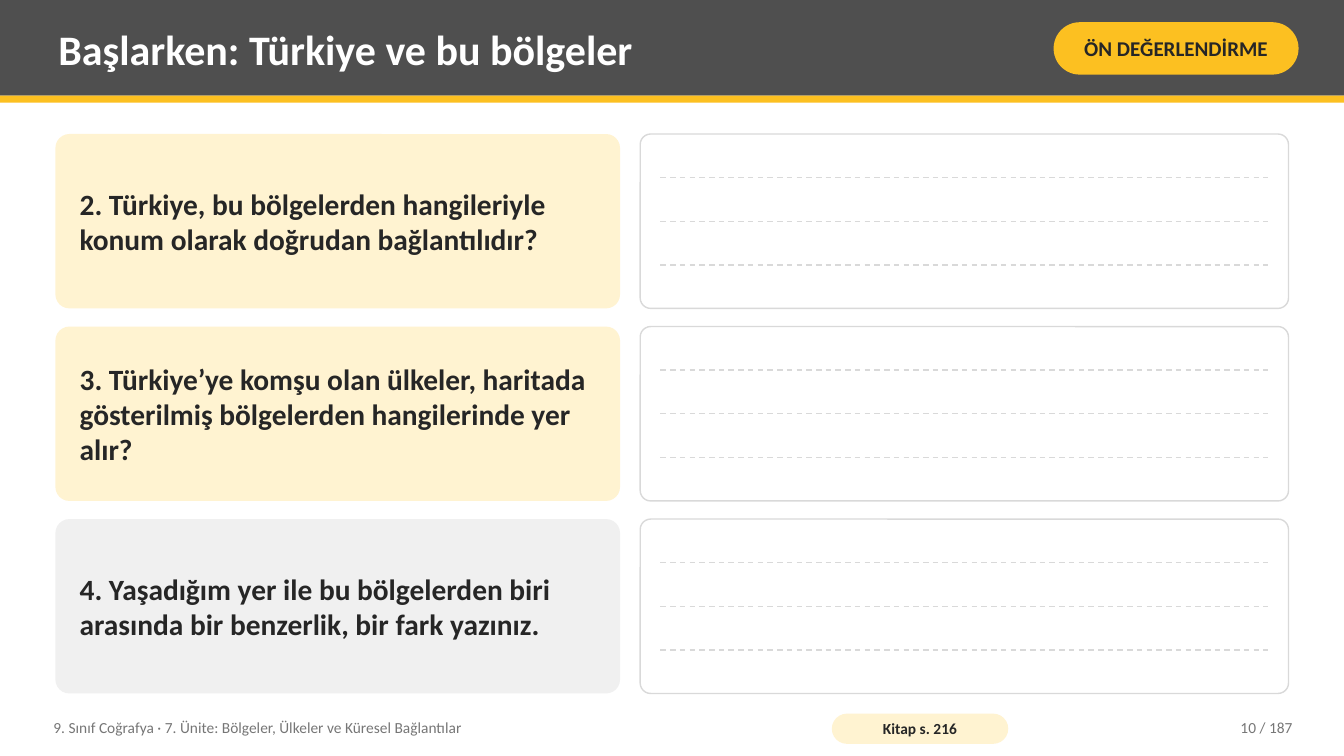
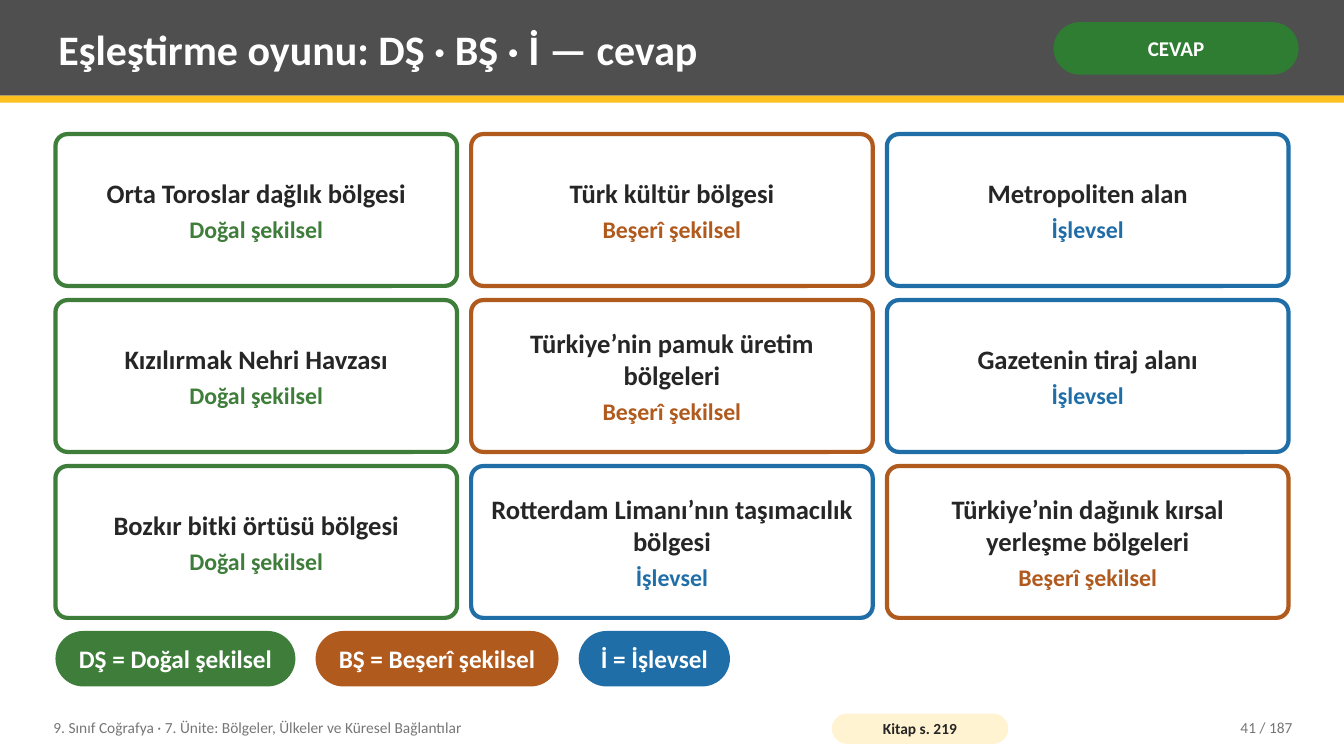
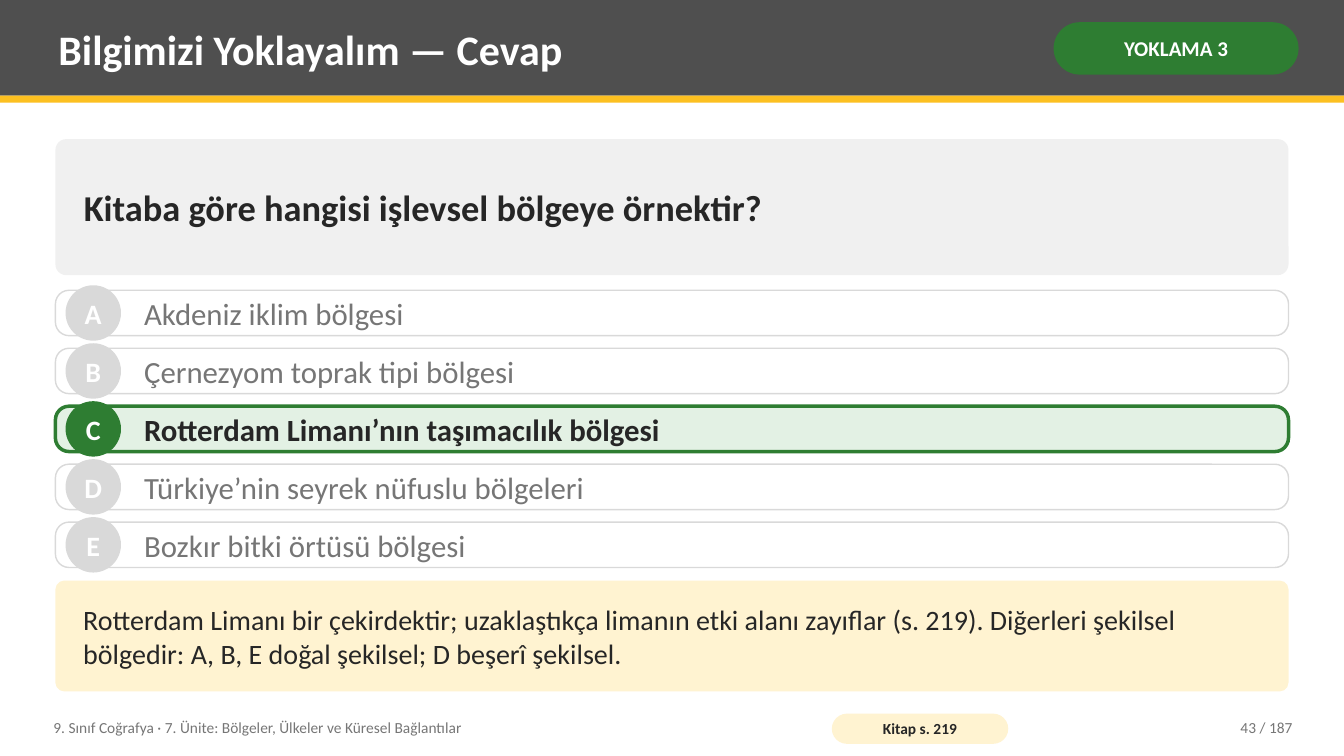
"""Build three geography lesson slides: open questions, a matching key and a quiz answer."""
import itertools

import pptx
import pptx.dml.color
import pptx.enum.dml
import pptx.enum.shapes
import pptx.enum.text
import pptx.oxml
import pptx.util

Inches = pptx.util.Inches
Pt = pptx.util.Pt
RGBColor = pptx.dml.color.RGBColor
SHAPE = pptx.enum.shapes.MSO_SHAPE
ALIGN = pptx.enum.text.PP_ALIGN

FONT = "Calibri"
WHITE = RGBColor(0xFF, 0xFF, 0xFF)
INK = RGBColor(0x26, 0x26, 0x26)
CHARCOAL = RGBColor(0x4F, 0x4F, 0x4F)
MUTED = RGBColor(0x76, 0x76, 0x76)
RULE = RGBColor(0xD9, 0xD9, 0xD9)
PALE_GREY = RGBColor(0xF0, 0xF0, 0xF0)
AMBER = RGBColor(0xFC, 0xC0, 0x21)
CREAM = RGBColor(0xFF, 0xF3, 0xD1)
ANSWER = RGBColor(0x2E, 0x7D, 0x32)
PALE_ANSWER = RGBColor(0xE3, 0xF1, 0xE4)
NATURAL = RGBColor(0x3E, 0x7D, 0x3A)
HUMAN = RGBColor(0xB0, 0x5A, 0x1E)
FUNCTIONAL = RGBColor(0x1F, 0x6E, 0xA8)

SLIDE_WIDTH, SLIDE_HEIGHT = 13.33, 7.5
LEFT, TOP, CONTENT_WIDTH = 0.55, 1.33, 12.23
TEXT_INSET = (0.08, 0.04)
UNIT = "9. Sınıf Coğrafya · 7. Ünite: Bölgeler, Ülkeler ve Küresel Bağlantılar"
PAGE_COUNT = 187
REGION_KINDS = {
    "DŞ": ("Doğal şekilsel", NATURAL, 2.38),
    "BŞ": ("Beşerî şekilsel", HUMAN, 2.41),
    "İ": ("İşlevsel", FUNCTIONAL, 1.5),
}


def write(shape, lines, inset=TEXT_INSET, align=ALIGN.LEFT, space_after=0, wrap=True):
    """Fill a shape with lines given as (words, size, colour, bold)."""
    frame = shape.text_frame
    frame.word_wrap = wrap
    frame.vertical_anchor = pptx.enum.text.MSO_ANCHOR.MIDDLE
    frame.margin_left = frame.margin_right = Inches(inset[0])
    frame.margin_top = frame.margin_bottom = Inches(inset[1])
    for index, (words, size, colour, bold) in enumerate(lines):
        paragraph = frame.add_paragraph() if index else frame.paragraphs[0]
        paragraph.alignment = align
        if index < len(lines) - 1:
            paragraph.space_after = Pt(space_after)
        run = paragraph.add_run()
        run.text = words
        run.font.name = FONT
        run.font.size = Pt(size)
        run.font.bold = bold
        run.font.color.rgb = colour


def add_text(slide, box, line, align=ALIGN.LEFT):
    """Add a plain text box with one line of text."""
    write(slide.shapes.add_textbox(*map(Inches, box)), [line], align=align)


def add_block(slide, box, fill, kind=SHAPE.RECTANGLE, radius=None, outline=None):
    """Add a filled shape, with an optional (colour, width) outline."""
    block = slide.shapes.add_shape(kind, *map(Inches, box))
    block.shadow.inherit = False
    block.fill.solid()
    block.fill.fore_color.rgb = fill
    if radius is not None:
        block.adjustments[0] = radius
    if outline:
        block.line.color.rgb = outline[0]
        block.line.width = Pt(outline[1])
    else:
        block.line.fill.background()
    return block


def add_card(slide, box, fill, radius=0.08, outline=None):
    """Add a rounded rectangle."""
    return add_block(slide, box, fill, SHAPE.ROUNDED_RECTANGLE, radius, outline)


def add_pill(slide, box, fill, line, inset):
    """Add a fully rounded label with centred text."""
    write(add_card(slide, box, fill, 0.5), [line], inset, ALIGN.CENTER)


def add_writing_line(slide, left, right, y):
    """Add a dashed horizontal line to write on."""
    ends = map(Inches, (left, y, right, y))
    rule = slide.shapes.add_connector(pptx.enum.shapes.MSO_CONNECTOR.STRAIGHT, *ends)
    rule.line.color.rgb = RULE
    rule.line.width = Pt(1)
    rule.line.dash_style = pptx.enum.dml.MSO_LINE.DASH
    properties = rule._element.spPr
    properties.append(pptx.oxml.parse_xml(
        '<a:effectLst xmlns:a="http://schemas.openxmlformats.org/drawingml/2006/main"/>'))


def add_header(deck, title, tag, tag_fill=ANSWER, tag_colour=WHITE):
    """Start a slide with the title band and its tag."""
    slide = deck.slides.add_slide(deck.slide_layouts[6])
    add_block(slide, (0, 0, SLIDE_WIDTH, 0.95), CHARCOAL)
    add_block(slide, (0, 0.95, SLIDE_WIDTH, 0.07), AMBER)
    add_text(slide, (0.5, 0.07, 9.75, 0.82), (title, 30, WHITE, True))
    add_pill(slide, (10.45, 0.22, 2.43, 0.52), tag_fill,
             (tag, 15, tag_colour, True), (0.05, 0.02))
    return slide


def add_footer(slide, book_page, number):
    """Add the unit name, the book page and the slide number."""
    add_text(slide, (0.45, 7.04, 7.6, 0.36), (UNIT, 11, MUTED, False))
    add_pill(slide, (8.25, 7.08, 1.75, 0.3), CREAM,
             (f"Kitap s. {book_page}", 11, INK, True), (0.04, 0))
    add_text(slide, (11.3, 7.04, 1.6, 0.36),
             (f"{number} / {PAGE_COUNT}", 11, MUTED, False), ALIGN.RIGHT)


def build_questions(deck):
    """Build the questions with room for written answers."""
    slide = add_header(deck, "Başlarken: Türkiye ve bu bölgeler", "ÖN DEĞERLENDİRME", AMBER, INK)
    questions = [
        ("2. Türkiye, bu bölgelerden hangileriyle konum olarak doğrudan bağlantılıdır?", CREAM),
        ("3. Türkiye’ye komşu olan ülkeler, haritada gösterilmiş bölgelerden "
         "hangilerinde yer alır?", CREAM),
        ("4. Yaşadığım yer ile bu bölgelerden biri arasında bir benzerlik, "
         "bir fark yazınız.", PALE_GREY),
    ]
    height, gap = 1.73, 0.18
    answer_left, answer_width, margin = 6.35, 6.43, 0.2
    for row, (question, fill) in enumerate(questions):
        top = TOP + row * (height + gap)
        card = add_card(slide, (LEFT, top, 5.6, height), fill)
        write(card, [(question, 21, INK, True)], (0.2, 0.08))
        add_card(slide, (answer_left, top, answer_width, height), WHITE, 0.06, (RULE, 1))
        for quarter in (1, 2, 3):
            add_writing_line(slide, answer_left + margin, answer_left + answer_width - margin,
                             top + quarter * height / 4)
    add_footer(slide, 216, 10)


def build_matching(deck):
    """Build the grid of regions coloured by kind, with its legend."""
    slide = add_header(deck, "Eşleştirme oyunu: DŞ · BŞ · İ — cevap", "CEVAP")
    regions = [
        ("Orta Toroslar dağlık bölgesi", "DŞ"),
        ("Türk kültür bölgesi", "BŞ"),
        ("Metropoliten alan", "İ"),
        ("Kızılırmak Nehri Havzası", "DŞ"),
        ("Türkiye’nin pamuk üretim bölgeleri", "BŞ"),
        ("Gazetenin tiraj alanı", "İ"),
        ("Bozkır bitki örtüsü bölgesi", "DŞ"),
        ("Rotterdam Limanı’nın taşımacılık bölgesi", "İ"),
        ("Türkiye’nin dağınık kırsal yerleşme bölgeleri", "BŞ"),
    ]
    gap = 0.14
    width = (CONTENT_WIDTH - 2 * gap) / 3
    height = (4.8 - 2 * gap) / 3
    cells = itertools.product(range(3), repeat=2)
    for (row, column), (region, code) in zip(cells, regions):
        kind, colour, _ = REGION_KINDS[code]
        box = (LEFT + column * (width + gap), TOP + row * (height + gap), width, height)
        card = add_card(slide, box, WHITE, outline=(colour, 3))
        write(card, [(region, 19, INK, True), (kind, 17, colour, True)],
              (0.14, 0.08), ALIGN.CENTER, space_after=4)
    left = LEFT
    for code, (kind, colour, width) in REGION_KINDS.items():
        add_pill(slide, (left, 6.26, width, 0.55), colour,
                 (f"{code} = {kind}", 18, WHITE, True), (0.06, 0))
        left += width + 0.2
    add_footer(slide, 219, 41)


def add_option(slide, top, letter, option, correct):
    """Add one quiz option, highlighted when it is correct."""
    fill, outline = (PALE_ANSWER, (ANSWER, 2.5)) if correct else (WHITE, (RULE, 1))
    add_card(slide, (LEFT, top, CONTENT_WIDTH, 0.45), fill, 0.3, outline)
    badge = add_block(slide, (0.65, top - 0.05, 0.55, 0.55), outline[0], SHAPE.OVAL)
    write(badge, [(letter, 20, WHITE, True)], (0, 0), ALIGN.CENTER, wrap=False)
    add_text(slide, (1.35, top, 11.23, 0.45), (option, 22, INK if correct else MUTED, correct))


def build_quiz(deck):
    """Build the quiz question with its answer and explanation."""
    slide = add_header(deck, "Bilgimizi Yoklayalım — Cevap", "YOKLAMA 3")
    question = add_card(slide, (LEFT, 1.38, CONTENT_WIDTH, 1.35), PALE_GREY)
    write(question, [("Kitaba göre hangisi işlevsel bölgeye örnektir?", 26, INK, True)],
          (0.25, 0.08))
    options = [
        "Akdeniz iklim bölgesi",
        "Çernezyom toprak tipi bölgesi",
        "Rotterdam Limanı’nın taşımacılık bölgesi",
        "Türkiye’nin seyrek nüfuslu bölgeleri",
        "Bozkır bitki örtüsü bölgesi",
    ]
    for row, (letter, option) in enumerate(zip("ABCDE", options)):
        add_option(slide, 2.88 + row * 0.575, letter, option, letter == "C")
    explanation = add_card(slide, (LEFT, 5.76, CONTENT_WIDTH, 1.1), CREAM)
    write(explanation, [(
        "Rotterdam Limanı bir çekirdektir; uzaklaştıkça limanın etki alanı zayıflar (s. 219). "
        "Diğerleri şekilsel bölgedir: A, B, E doğal şekilsel; D beşerî şekilsel.",
        20, INK, False)], (0.25, 0.08))
    add_footer(slide, 219, 43)


def main():
    """Build and save the deck."""
    deck = pptx.Presentation()
    deck.slide_width = Inches(SLIDE_WIDTH)
    deck.slide_height = Inches(SLIDE_HEIGHT)
    build_questions(deck)
    build_matching(deck)
    build_quiz(deck)
    deck.save("out.pptx")


if __name__ == "__main__":
    main()
